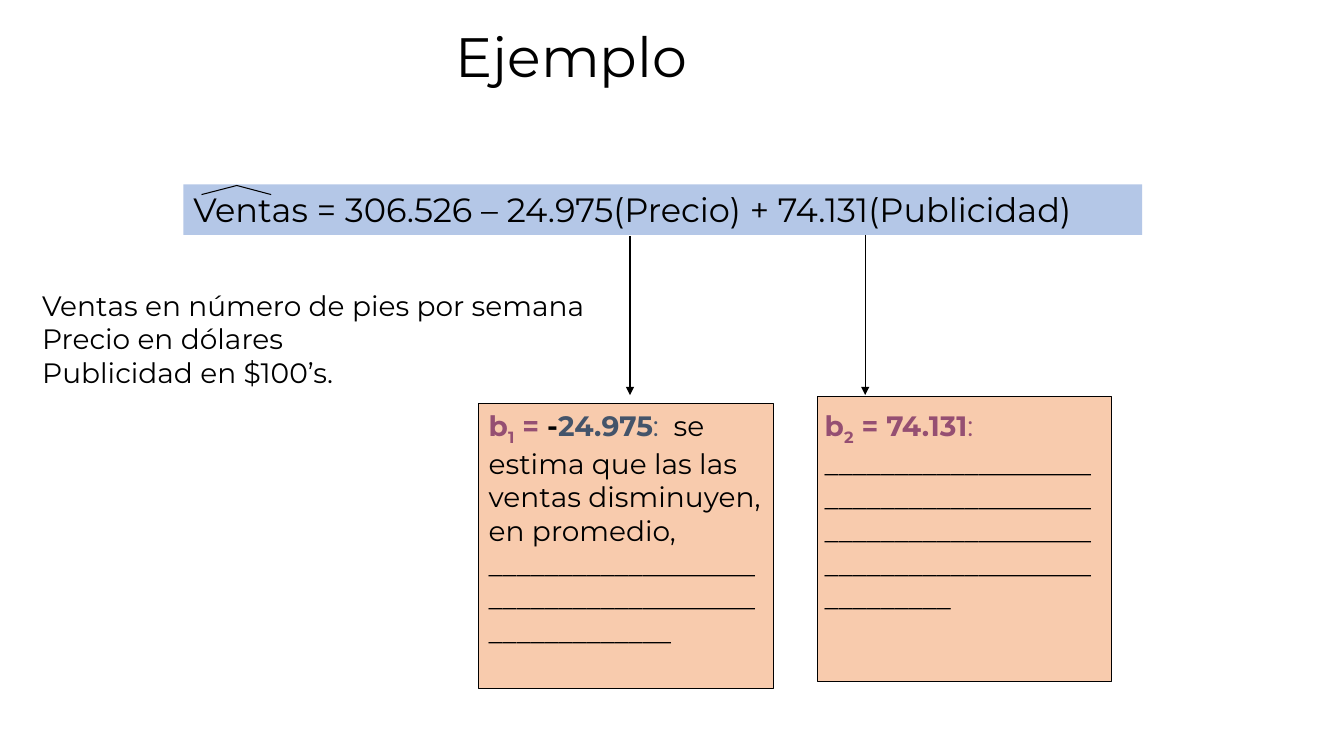
from dataclasses import dataclass
from typing import Any, NamedTuple

import pptx
import pptx.dml.color
import pptx.enum.shapes
import pptx.enum.text
import pptx.oxml
import pptx.oxml.ns
import pptx.util

SHAPE = pptx.enum.shapes.MSO_SHAPE
FIT = pptx.enum.text.MSO_AUTO_SIZE
ANCHOR = pptx.enum.text.MSO_ANCHOR
ALIGN = pptx.enum.text.PP_ALIGN


@dataclass(frozen=True)
class Theme:
    font: str = "Montserrat"
    ink: str = "000000"
    plum: str = "954F72"
    slate: str = "44546A"
    peach: str = "F8CBAD"
    sky: str = "B4C7E7"
    title: float = 39.6
    formula: float = 24
    body: float = 20
    line: float = 0.75


class Box(NamedTuple):
    col: float
    row: float
    cols: float
    rows: float


class Run(NamedTuple):
    text: str
    color: str
    bold: bool = False
    subscript: bool = False


class Card(NamedTuple):
    panel: Box
    text: Box
    runs: list[Run]


class Arrow(NamedTuple):
    col: float
    top: float
    bottom: float


THEME = Theme()
WIDTH, HEIGHT = pptx.util.Inches(13.33), pptx.util.Inches(7.5)
COLS, ROWS = 160, 90

TITLE = Box(53, 3, 107, 8.16)
BAND = Box(21.84, 21.96, 114.12, 6)
HAT = [(24, 23.16), (28.2, 22.08), (32.28, 23.16)]
UNITS = Box(3.84, 33.72, 74.64, 13.32)
UNIT_LINES = [
    "Ventas en número de pies por semana",
    "Precio en dólares",
    "Publicidad en $100’s.",
]
CARDS = [
    Card(Box(97.32, 47.16, 35.04, 33.96), Box(97, 48, 35.04, 25.44), [
        Run("b", THEME.plum, True),
        Run("2", THEME.plum, True, True),
        Run(" = 74.131", THEME.plum, True),
        Run(": ", THEME.plum),
        Run("_" * 85, THEME.ink),
    ]),
    Card(Box(57, 48, 35.04, 33.96), Box(57, 48, 35.04, 29.52), [
        Run("b", THEME.plum, True),
        Run("1", THEME.plum, True, True),
        Run(" = ", THEME.plum, True),
        Run("-", THEME.ink, True),
        Run("24.975", THEME.slate, True),
        Run(":", THEME.slate),
        Run("  se estima que las las ventas disminuyen, en promedio, " + "_" * 51, THEME.ink),
    ]),
]
ARROWS = [Arrow(75, 28.08, 47.04), Arrow(103, 27, 47.04)]


def x(col: float) -> int:
    return round(WIDTH * col / COLS)


def y(row: float) -> int:
    return round(HEIGHT * row / ROWS)


def place(box: Box) -> tuple[int, int, int, int]:
    return x(box.col), y(box.row), x(box.cols), y(box.rows)


def rgb(color: str) -> pptx.dml.color.RGBColor:
    return pptx.dml.color.RGBColor.from_string(color)


def assign(obj: Any, values: dict[str, Any]) -> None:
    for name, value in values.items():
        setattr(obj, name, value)


def ink_line(sp: Any) -> None:
    sp.line.color.rgb = rgb(THEME.ink)
    sp.line.width = pptx.util.Pt(THEME.line)


def write(tf: Any, paragraphs: list[list[Run]], size: float,
          fit: FIT = FIT.SHAPE_TO_FIT_TEXT, anchor: ANCHOR = ANCHOR.TOP) -> None:
    assign(tf, {"word_wrap": True, "auto_size": fit, "vertical_anchor": anchor})
    for i, runs in enumerate(paragraphs):
        p = tf.add_paragraph() if i else tf.paragraphs[0]
        p.alignment = ALIGN.LEFT
        for run in runs:
            r = p.add_run()
            r.text = run.text
            assign(r.font, {"name": THEME.font, "size": pptx.util.Pt(size), "bold": run.bold})
            r.font.color.rgb = rgb(run.color)
            if run.subscript:
                r._r.get_or_add_rPr().set("baseline", "-25000")


def add_panel(shapes: Any, box: Box, color: str) -> Any:
    sp = shapes.add_shape(SHAPE.RECTANGLE, *place(box))
    sp.shadow.inherit = False
    sp.fill.solid()
    sp.fill.fore_color.rgb = rgb(color)
    sp.line.fill.background()
    return sp


def add_text(shapes: Any, box: Box, paragraphs: list[list[Run]]) -> None:
    write(shapes.add_textbox(*place(box)).text_frame, paragraphs, THEME.body)


def add_arrow(shapes: Any, arrow: Arrow) -> None:
    sp = shapes.add_connector(pptx.enum.shapes.MSO_CONNECTOR.STRAIGHT,
                              x(arrow.col), y(arrow.top), x(arrow.col), y(arrow.bottom))
    ink_line(sp)
    tail = pptx.oxml.parse_xml(f'<a:tailEnd {pptx.oxml.ns.nsdecls("a")} type="triangle"/>')
    sp.line._get_or_add_ln().append(tail)
    effects = pptx.oxml.parse_xml(f'<a:effectLst {pptx.oxml.ns.nsdecls("a")}/>')
    sp._element.spPr.append(effects)


def add_formula(shapes: Any) -> None:
    group = shapes.add_group_shape()
    band = add_panel(group.shapes, BAND, THEME.sky)
    formula = "Ventas = 306.526 – 24.975(Precio) + 74.131(Publicidad)"
    write(band.text_frame, [[Run(formula, THEME.ink)]], THEME.formula)
    start, *rest = [(x(col), y(row)) for col, row in HAT]
    builder = group.shapes.build_freeform(*start)
    builder.add_line_segments(rest, close=False)
    hat = builder.convert_to_shape()
    hat.shadow.inherit = False
    hat.fill.background()
    ink_line(hat)


def main() -> None:
    prs = pptx.Presentation()
    assign(prs, {"slide_width": WIDTH, "slide_height": HEIGHT})
    slide = prs.slides.add_slide(prs.slide_layouts[5])
    shapes = slide.shapes

    for card in CARDS:
        ink_line(add_panel(shapes, card.panel, THEME.peach))
    title = shapes.title
    assign(title, dict(zip(("left", "top", "width", "height"), place(TITLE))))
    write(title.text_frame, [[Run("Ejemplo", THEME.ink)]], THEME.title, FIT.NONE, ANCHOR.MIDDLE)
    title.text_frame.paragraphs[0].line_spacing = 0.9
    for card in CARDS:
        add_text(shapes, card.text, [card.runs])
    add_text(shapes, UNITS, [[Run(line, THEME.ink)] for line in UNIT_LINES])
    for arrow in ARROWS:
        add_arrow(shapes, arrow)
    add_formula(shapes)
    prs.save("out.pptx")


if __name__ == "__main__":
    main()
